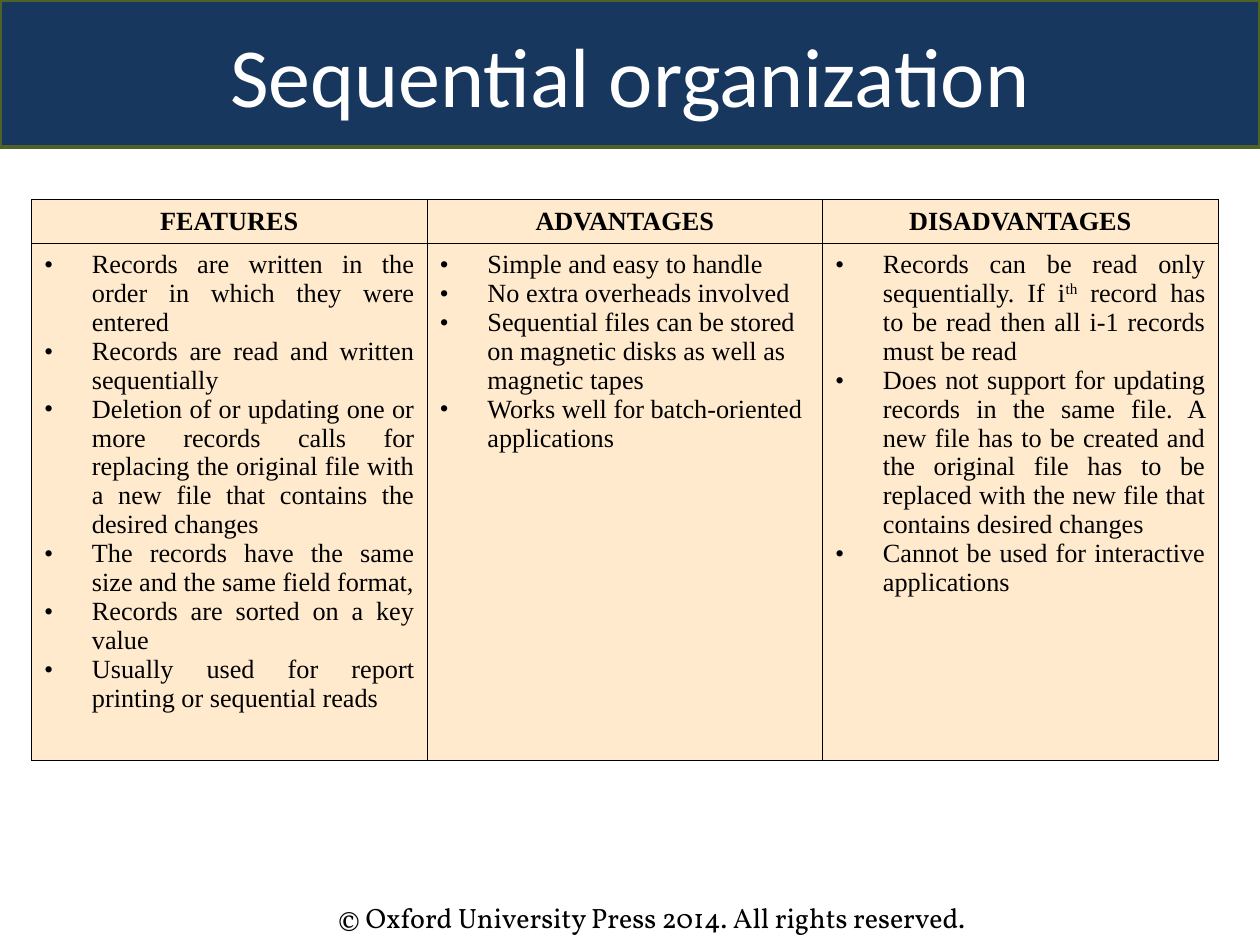
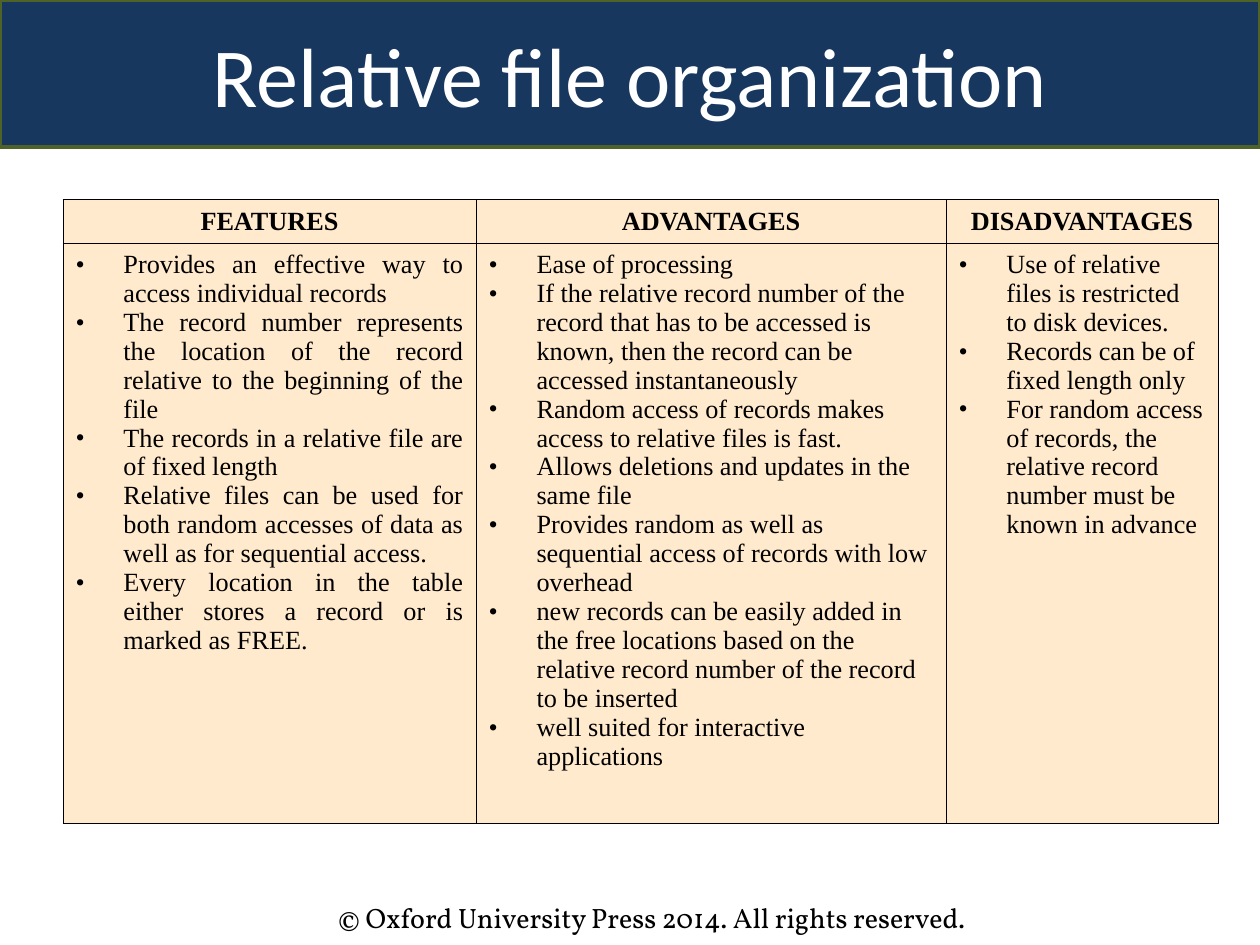
from dataclasses import dataclass

from lxml.etree import SubElement
from pptx import Presentation
from pptx.dml.color import RGBColor
from pptx.enum.text import MSO_ANCHOR, MSO_AUTO_SIZE, PP_ALIGN
from pptx.oxml.ns import qn
from pptx.util import Inches, Pt

HEADINGS = ("FEATURES", "ADVANTAGES", "DISADVANTAGES")
COPYRIGHT = "© Oxford University Press 2014. All rights reserved."
LEFT, JUSTIFY = PP_ALIGN.LEFT, PP_ALIGN.JUSTIFY
TITLE_ONLY = 5


@dataclass(frozen=True)
class Theme:
    band: str = "17375E"
    band_edge: str = "4F6228"
    cell: str = "FFEACD"
    ink: str = "000000"
    title: tuple = ("Calibri", 48, "FFFFFF")
    heading: tuple = ("Times New Roman", 15, "000000")
    body: tuple = ("Times New Roman", 15, "000000")
    footer: tuple = ("Vollkorn", 16, "000000")
    border_width: float = 0.45
    edge_width: float = 2
    bullet_indent: float = 0.38


# Positions in grid units: 40 columns by 30 rows
GRID_UNIT = 0.25
BAND_HEIGHT = 4.67
TABLE_TOP, TABLE_RIGHT = 6.33, 38.67
HEADING_HEIGHT = 1.4
FOOTER_BOX = (10.33, 28.4, 23.67, 1.47)

# Each table column: share of the width, alignment, bullet items.
# Text between two ^ marks is superscript.
SLIDES = [
    {
        "title": "Sequential organization",
        "left": 1,
        "body_height": 16.4,
        "columns": [
            (1, JUSTIFY, [
                "Records are written in the order in which they were entered",
                "Records are read and written sequentially",
                "Deletion of or updating one or more records calls for replacing the "
                "original file with a new file that contains the desired changes",
                "The records have the same size and the same field format,",
                "Records are sorted on a key value",
                "Usually used for report printing or sequential reads",
            ]),
            (1, LEFT, [
                "Simple and easy to handle",
                "No extra overheads involved",
                "Sequential files can be stored on magnetic disks as well as magnetic tapes",
                "Works well for batch-oriented applications",
            ]),
            (1, JUSTIFY, [
                "Records can be read only sequentially. If i^th^ record has to be read "
                "then all i-1 records must be read",
                "Does not support for updating records in the same file. A new file has "
                "to be created and the original file has to be replaced with the new "
                "file that contains desired changes",
                "Cannot be used for interactive applications",
            ]),
        ],
    },
    {
        "title": "Relative file organization",
        "left": 2,
        "body_height": 18.4,
        "columns": [
            (3.28, JUSTIFY, [
                "Provides an effective way to access individual records",
                "The record number represents the location of the record relative to "
                "the beginning of the file",
                "The records in a relative file are of fixed length",
                "Relative files can be used for both random accesses of data as well as "
                "for sequential access.",
                "Every location in the table either stores a record or is marked as FREE.",
            ]),
            (3.73, LEFT, [
                "Ease of processing",
                "If the relative record number of the record that has to be accessed is "
                "known, then the record can be accessed instantaneously",
                "Random access of records makes access to relative files is fast.",
                "Allows deletions and updates in the same file",
                "Provides random as well as sequential access of records with low overhead",
                "new records can be easily added in the free locations based on the "
                "relative record number of the record to be inserted",
                "well suited for interactive applications",
            ]),
            (2.16, LEFT, [
                "Use of relative files is restricted to disk devices.",
                "Records can be of fixed length only",
                "For random access of records, the relative record number must be known "
                "in advance",
            ]),
        ],
    },
]


def grid(units):
    """Turn grid units into a length."""
    return Inches(units * GRID_UNIT)


def set_all(target, values):
    for name, value in values.items():
        setattr(target, name, value)


def paint(target, color):
    target.fill.solid()
    target.fill.fore_color.rgb = RGBColor.from_string(color)


class Deck:
    def __init__(self, theme):
        self.theme = theme
        self.presentation = Presentation()
        set_all(self.presentation, {"slide_width": grid(40), "slide_height": grid(30)})
        self.slide = None

    def add_slide(self, title):
        layout = self.presentation.slide_layouts[TITLE_ONLY]
        self.slide = self.presentation.slides.add_slide(layout)
        self.title_band(title)
        self.footer()

    def add_text(self, paragraph, text, style, alignment=LEFT, bold=False):
        paragraph.alignment = alignment
        name, size, color = style
        for index, part in enumerate(text.split("^")):
            run = paragraph.add_run()
            run.text = part
            set_all(run.font, {"name": name, "size": Pt(size), "bold": bold})
            run.font.color.rgb = RGBColor.from_string(color)
            if index % 2:
                run._r.get_or_add_rPr().set("baseline", "30000")

    def title_band(self, text):
        band = self.slide.shapes.title
        set_all(band, {"left": 0, "top": 0, "width": grid(40), "height": grid(BAND_HEIGHT)})
        paint(band, self.theme.band)
        band.line.color.rgb = RGBColor.from_string(self.theme.band_edge)
        band.line.width = Pt(self.theme.edge_width)
        set_all(band.text_frame, {
            "auto_size": MSO_AUTO_SIZE.NONE,
            "vertical_anchor": MSO_ANCHOR.MIDDLE,
            "word_wrap": True,
        })
        self.add_text(band.text_frame.paragraphs[0], text, self.theme.title, PP_ALIGN.CENTER)

    def footer(self):
        box = self.slide.shapes.add_textbox(*map(grid, FOOTER_BOX))
        box.text_frame.word_wrap = True
        self.add_text(box.text_frame.paragraphs[0], COPYRIGHT, self.theme.footer)

    def table(self, left, body_height, columns):
        width = TABLE_RIGHT - left
        heights = (HEADING_HEIGHT, body_height)
        frame = self.slide.shapes.add_table(
            len(heights), len(columns), grid(left), grid(TABLE_TOP),
            grid(width), grid(sum(heights)))
        table = frame.table
        set_all(table, {"first_row": False, "horz_banding": False})
        for row, height in zip(table.rows, heights):
            row.height = grid(height)

        total = sum(share for share, _, _ in columns)
        for index, (share, alignment, items) in enumerate(columns):
            table.columns[index].width = grid(width * share / total)
            heading, body = table.cell(0, index), table.cell(1, index)
            for cell in (heading, body):
                self.borders(cell)
                paint(cell, self.theme.cell)
            heading.vertical_anchor = MSO_ANCHOR.MIDDLE
            self.add_text(heading.text_frame.paragraphs[0], HEADINGS[index],
                          self.theme.heading, PP_ALIGN.CENTER, bold=True)
            self.bullets(body.text_frame, items, alignment)

    def bullets(self, text_frame, items, alignment):
        indent = Inches(self.theme.bullet_indent)
        for index, item in enumerate(items):
            paragraph = text_frame.add_paragraph() if index else text_frame.paragraphs[0]
            properties = paragraph._p.get_or_add_pPr()
            properties.set("marL", str(indent))
            properties.set("indent", str(-indent))
            color = SubElement(properties, qn("a:buClr"))
            SubElement(color, qn("a:srgbClr"), val=self.theme.ink)
            SubElement(properties, qn("a:buFont"), typeface=self.theme.body[0])
            SubElement(properties, qn("a:buChar"), char="•")
            self.add_text(paragraph, item, self.theme.body, alignment)

    def borders(self, cell):
        properties = cell._tc.get_or_add_tcPr()
        for side in ("L", "R", "T", "B"):
            line = SubElement(properties, qn(f"a:ln{side}"),
                              w=str(Pt(self.theme.border_width)))
            fill = SubElement(line, qn("a:solidFill"))
            SubElement(fill, qn("a:srgbClr"), val=self.theme.ink)


def main():
    deck = Deck(Theme())
    for content in SLIDES:
        deck.add_slide(content["title"])
        deck.table(content["left"], content["body_height"], content["columns"])
    deck.presentation.save("out.pptx")


if __name__ == "__main__":
    main()
